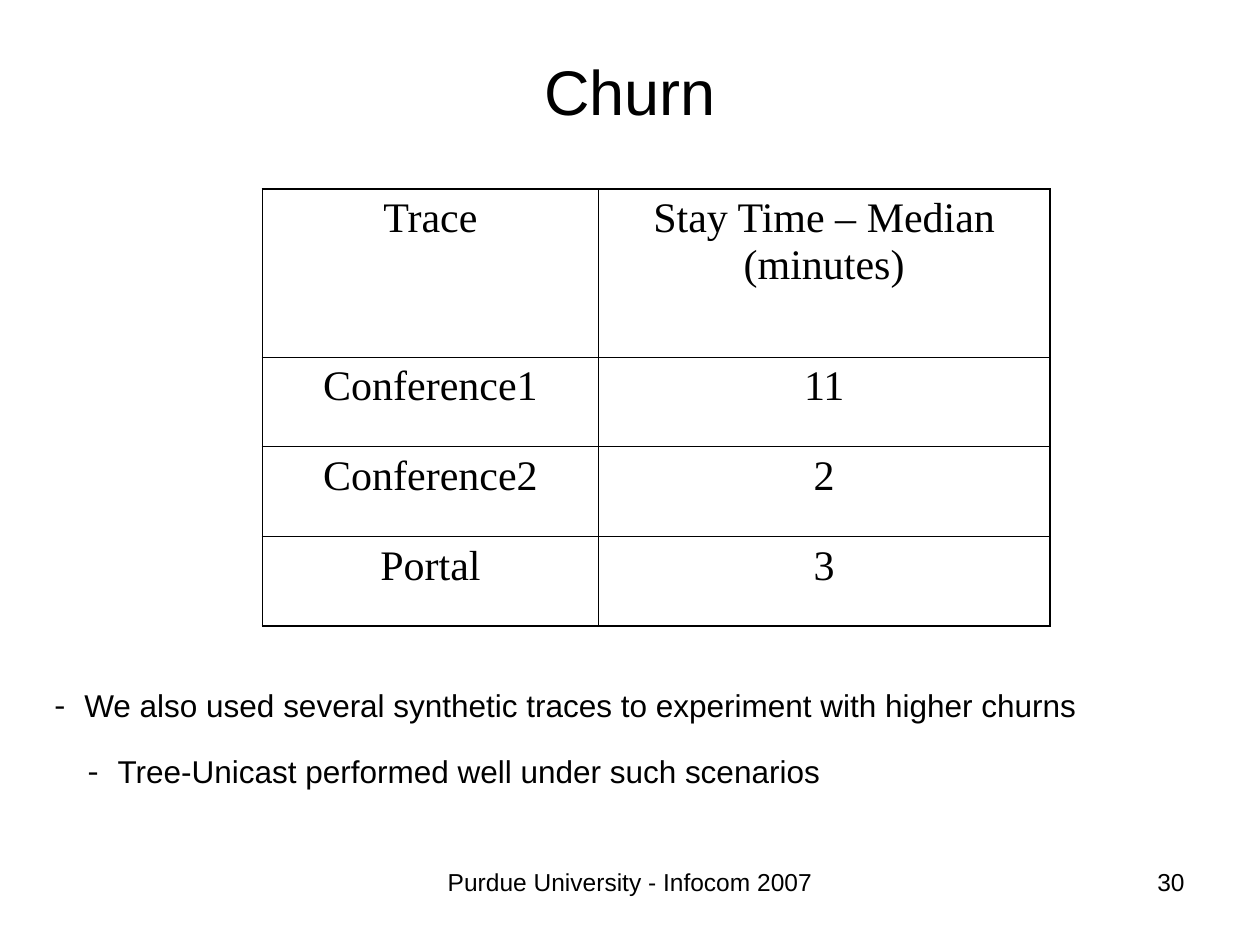
import pptx
import pptx.dml.color
import pptx.enum.text
import pptx.oxml.ns
import pptx.util
from lxml import etree

Pt = pptx.util.Pt
ALIGN = pptx.enum.text.PP_ALIGN
ANCHOR = pptx.enum.text.MSO_ANCHOR
qn = pptx.oxml.ns.qn


def rgb(value):
    return pptx.dml.color.RGBColor.from_string(value)


class SlideBuilder:
    ink = "000000"
    sans = "Arial"
    serif = "Times New Roman"
    outer_line = 1.08
    inner_line = 0.45

    def __init__(self, prs):
        self.slide = prs.slides.add_slide(prs.slide_layouts[1])

    def style(self, p, size, font=None, align=ALIGN.LEFT):
        p.alignment = align
        for r in p.runs:
            r.font.size = Pt(size)
            r.font.name = font or self.sans
            r.font.bold = False
            r.font.color.rgb = rgb(self.ink)

    def place(self, sp, left, top, width, height):
        sp.left, sp.top, sp.width, sp.height = map(Pt, (left, top, width, height))

    def title(self, text, *box):
        sp = self.slide.shapes.title
        self.place(sp, *box)
        tf = sp.text_frame
        tf.text = text
        tf.auto_size = pptx.enum.text.MSO_AUTO_SIZE.NONE
        tf.vertical_anchor = ANCHOR.MIDDLE
        p = tf.paragraphs[0]
        p.line_spacing = 1.54
        self.style(p, 36, align=ALIGN.CENTER)

    def dash_list(self, items, *box):
        """Fill the body placeholder with (text, level) items."""
        sp = self.slide.placeholders[1]
        self.place(sp, *box)
        tf = sp.text_frame
        tf.text = "\n".join(text for text, _ in items)
        tf.auto_size = pptx.enum.text.MSO_AUTO_SIZE.NONE
        tf.vertical_anchor = ANCHOR.TOP
        hang = 17
        for i, (p, (_, level)) in enumerate(zip(tf.paragraphs, items)):
            p.level = level
            p.line_spacing = 1.2
            p.space_before = Pt(12 if i else 0)
            pPr = p._p.get_or_add_pPr()
            pPr.set("marL", str(Pt(hang + 19 * level)))
            pPr.set("indent", str(-Pt(hang)))
            etree.SubElement(pPr, qn("a:buFont"), typeface=self.serif)
            etree.SubElement(pPr, qn("a:buChar"), char="-")
            self.style(p, 18)

    def text(self, text, align, *box):
        sp = self.slide.shapes.add_textbox(*map(Pt, box))
        tf = sp.text_frame
        tf.word_wrap = True
        tf.text = text
        self.style(tf.paragraphs[0], 14, align=align)

    def border(self, cell, side, width):
        tcPr = cell._tc.get_or_add_tcPr()
        ln = etree.SubElement(tcPr, qn("a:ln" + side), w=str(Pt(width)))
        fill = etree.SubElement(ln, qn("a:solidFill"))
        etree.SubElement(fill, qn("a:srgbClr"), val=self.ink)

    def table(self, rows, left, top, widths, heights):
        frame = self.slide.shapes.add_table(
            len(rows), len(widths), Pt(left), Pt(top),
            Pt(sum(widths)), Pt(sum(heights)))
        table = frame.table
        table.first_row = table.horz_banding = False
        for column, width in zip(table.columns, widths):
            column.width = Pt(width)
        for row, height in zip(table.rows, heights):
            row.height = Pt(height)
        for i, values in enumerate(rows):
            for j, value in enumerate(values):
                cell = table.cell(i, j)
                cell.text = value
                self.style(cell.text_frame.paragraphs[0], 24, self.serif, ALIGN.CENTER)
                on_edge = {"L": j == 0, "R": j == len(widths) - 1,
                           "T": i == 0, "B": i == len(rows) - 1}
                for side, outer in on_edge.items():
                    self.border(cell, side, self.outer_line if outer else self.inner_line)
                cell.fill.background()


def main():
    prs = pptx.Presentation()
    prs.slide_width, prs.slide_height = Pt(720), Pt(540)
    s = SlideBuilder(prs)
    s.title("Churn", 36, 12, 648, 56)
    s.table([("Trace", "Stay Time – Median (minutes)"),
             ("Conference1", "11"),
             ("Conference2", "2"),
             ("Portal", "3")],
            150, 108, [192, 258], [96] + [51.3] * 3)
    s.dash_list([("We also used several synthetic traces to experiment with higher churns", 0),
                 ("Tree-Unicast performed well under such scenarios", 1)],
                24, 384, 678, 70.5)
    s.text("Purdue University - Infocom 2007", ALIGN.CENTER, 246, 492, 228, 37.5)
    s.text("30", ALIGN.RIGHT, 516, 492, 168, 37.5)
    prs.save("out.pptx")


if __name__ == "__main__":
    main()
